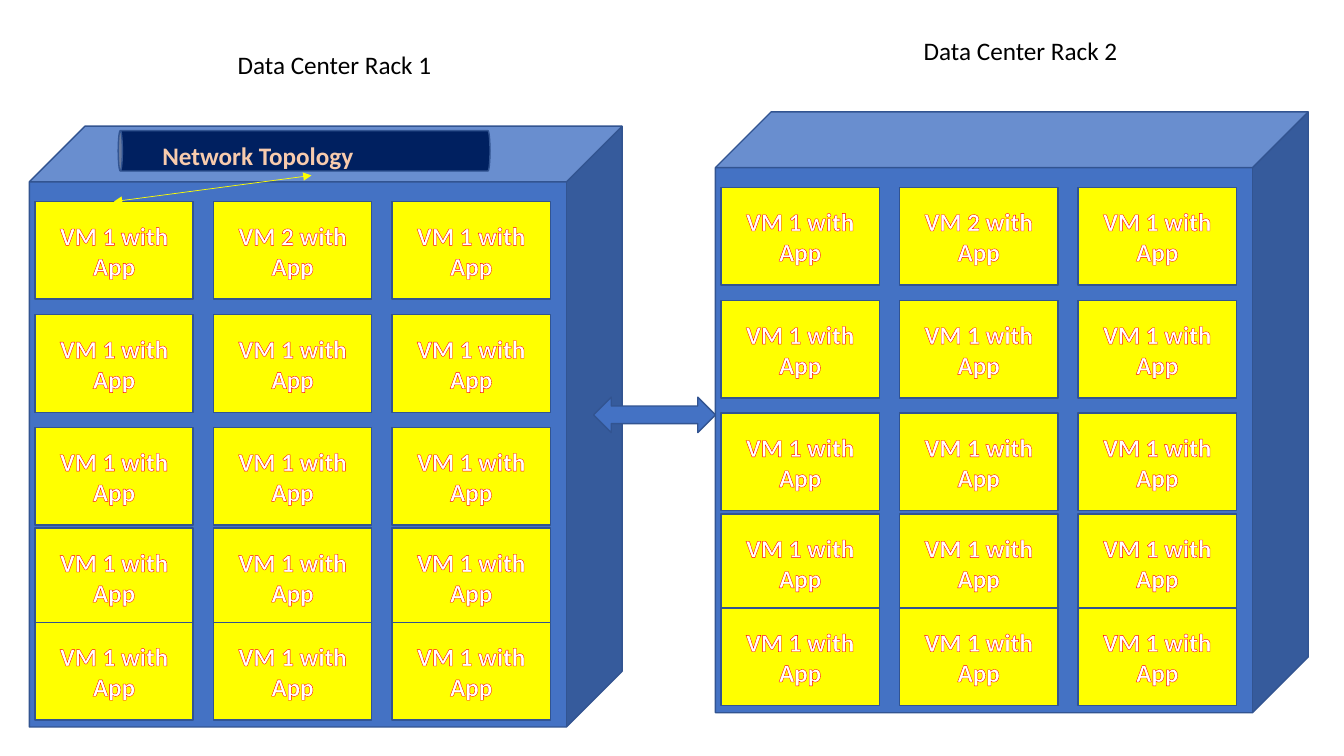
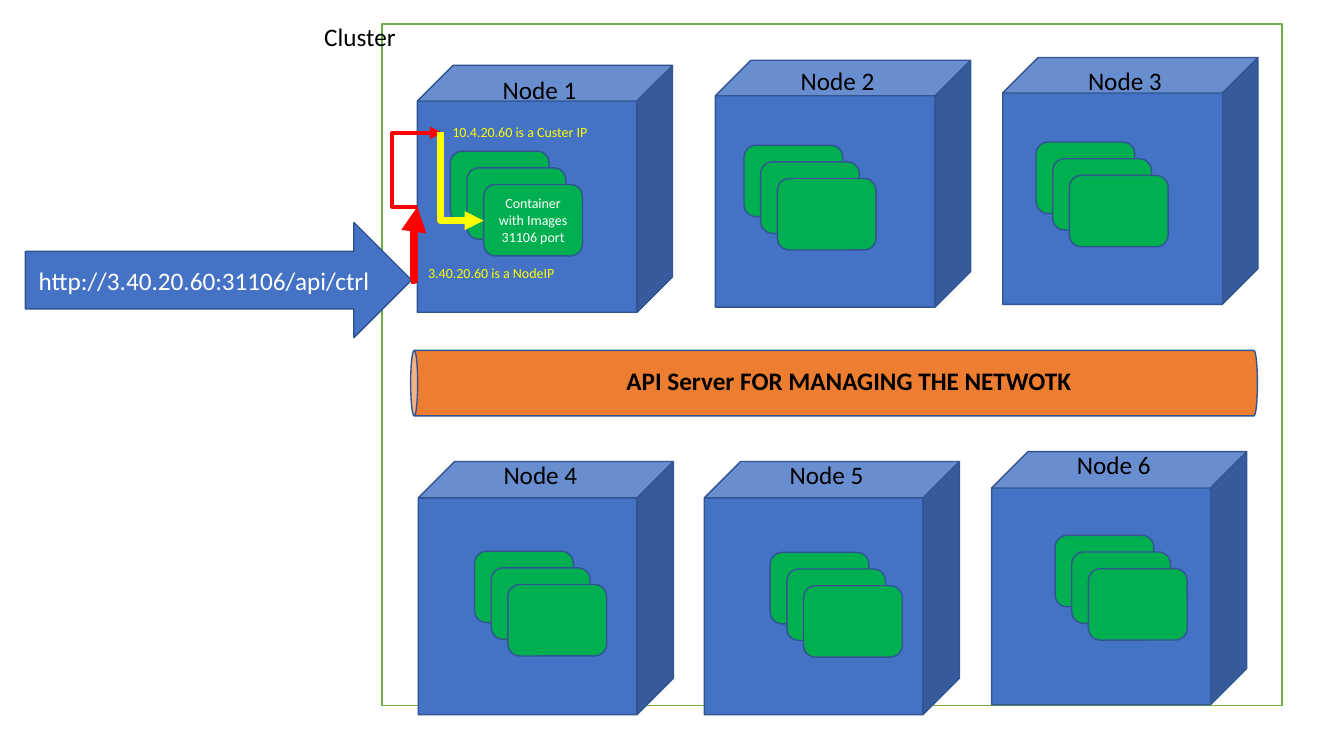
from lxml import etree
from pptx import Presentation
from pptx.dml.color import RGBColor
from pptx.enum.shapes import MSO_CONNECTOR, MSO_SHAPE
from pptx.enum.text import MSO_ANCHOR, MSO_AUTO_SIZE, PP_ALIGN
from pptx.oxml.ns import qn
from pptx.util import Cm, Pt

CUBE, CAN = MSO_SHAPE.CUBE, MSO_SHAPE.CAN
RECT, ROUND_RECT = MSO_SHAPE.RECTANGLE, MSO_SHAPE.ROUNDED_RECTANGLE
TWO_WAY_ARROW, RIGHT_ARROW = MSO_SHAPE.LEFT_RIGHT_ARROW, MSO_SHAPE.RIGHT_ARROW
STRAIGHT, ELBOW = MSO_CONNECTOR.STRAIGHT, MSO_CONNECTOR.ELBOW
LEFT, CENTER = PP_ALIGN.LEFT, PP_ALIGN.CENTER
MIDDLE = MSO_ANCHOR.MIDDLE
FIT_TEXT = MSO_AUTO_SIZE.SHAPE_TO_FIT_TEXT

BLUE, EDGE, NAVY = "4472C4", "325491", "002060"
YELLOW, RED, ORANGE, PEACH = "FFFF00", "FF0000", "ED7D31", "F8CBAD"
GREEN, FRAME_GREEN = "00B050", "70AD47"
WHITE, BLACK = "FFFFFF", "000000"

BODY = {"name": "Calibri", "size": Pt(18), "bold": False}
STRONG = {**BODY, "bold": True}
SMALL = {**BODY, "size": Pt(10)}

VM_WIDTH, VM_HEIGHT, VM_PITCH = 3.99, 2.46, 4.5
VM_ROW_OFFSETS = [1.9, 4.75, 7.59, 10.13, 12.5]
STACK_STEP = 0.42
NODES = [
    ("Node 1", 10.52, 1.65, 6.22, 1.75, (11.35, 3.81)),
    ("Node 2", 18.03, 1.52, 6.22, 1.52, (18.75, 3.66)),
    ("Node 3", 25.27, 1.45, 6.22, 1.52, (26.11, 3.58)),
    ("Node 4", 10.54, 11.63, 6.38, 11.46, (11.96, 13.89)),
    ("Node 5", 17.75, 11.63, 6.38, 11.46, (19.41, 13.92)),
    ("Node 6", 24.99, 11.38, 6.38, 11.2, (26.59, 13.49)),
]


def paint(fill, color):
    """Make a fill solid in a hex colour."""
    fill.solid()
    fill.fore_color.rgb = RGBColor.from_string(color)


def outline_letters(run, color, width):
    """Draw a line around the letters of a run."""
    line = etree.Element(qn("a:ln"), w=str(Pt(width)))
    solid = etree.SubElement(line, qn("a:solidFill"))
    etree.SubElement(solid, qn("a:srgbClr"), val=color)
    run.font._element.insert(0, line)


def write(frame, text, style, color, align=CENTER, outline=None):
    """Fill a text frame, one paragraph per line of text."""
    frame.word_wrap = True
    for index, words in enumerate(text.split("\n")):
        paragraph = frame.add_paragraph() if index else frame.paragraphs[0]
        paragraph.alignment = align
        run = paragraph.add_run()
        run.text = words
        for name, value in style.items():
            setattr(run.font, name, value)
        paint(run.font.fill, color)
        if outline:
            outline_letters(run, *outline)


def add_block(slide, kind, box, fill, edge=EDGE, adjust=None):
    """Add a filled and edged preset shape."""
    block = slide.shapes.add_shape(kind, *map(Cm, box))
    block.shadow.inherit = False
    paint(block.fill, fill)
    paint(block.line.fill, edge)
    block.line.width = Pt(1)
    block.text_frame.vertical_anchor = MIDDLE
    if adjust is not None:
        block.adjustments[0] = adjust
    return block


def add_label(slide, box, text, style=BODY, color=BLACK, align=CENTER, outline=None):
    """Add a text box that grows with its text."""
    label = slide.shapes.add_textbox(*map(Cm, box))
    write(label.text_frame, text, style, color, align, outline)
    label.text_frame.auto_size = FIT_TEXT


def add_pipe(slide, left, top, length, thickness, fill, adjust):
    """Add a can lying on its side in the given visible box."""
    shift = (length - thickness) / 2
    box = (left + shift, top - shift, thickness, length)
    add_block(slide, CAN, box, fill, adjust=adjust).rotation = 270


def add_arrow(slide, kind, start, end, color, width, ends=("tailEnd",), bend=None):
    """Add a connector with arrowheads and an optional bend position."""
    arrow = slide.shapes.add_connector(kind, *map(Cm, start + end))
    paint(arrow.line.fill, color)
    arrow.line.width = Pt(width)
    properties = arrow._element.spPr
    for tip in ends:
        etree.SubElement(properties.find(qn("a:ln")), qn(f"a:{tip}"), type="triangle")
    etree.SubElement(properties, qn("a:effectLst"))
    if bend is not None:
        guides = properties.find(qn("a:prstGeom")).find(qn("a:avLst"))
        etree.SubElement(guides, qn("a:gd"), name="adj1", fmla=f"val {round(bend * 100000)}")


def add_rack(slide, title, left, top):
    """Add a rack with its title and its grid of virtual machines."""
    add_block(slide, CUBE, (left, top, 14.94, 15.14), BLUE, adjust=0.094)
    add_label(slide, (left + 0.97, top - 2.06, 13.44, 1.02), title)
    for row, offset in enumerate(VM_ROW_OFFSETS):
        for column in range(3):
            number = 2 if (row, column) == (0, 1) else 1
            box = (left + 0.14 + column * VM_PITCH, top + offset, VM_WIDTH, VM_HEIGHT)
            machine = add_block(slide, RECT, box, YELLOW)
            write(machine.text_frame, f"VM {number} with App", STRONG, WHITE, outline=(RED, 0.75))


def add_node(slide, title, left, top, height, title_top):
    """Add a cluster node with its title."""
    add_block(slide, CUBE, (left, top, 6.43, height), BLUE, adjust=0.144)
    add_label(slide, (left + 0.82, title_top, 4.52, 1.02), title)


def add_containers(slide, left, top):
    """Add three overlapping containers and return the front one."""
    for step in range(3):
        shift = step * STACK_STEP
        front = add_block(slide, ROUND_RECT, (left + shift, top + shift, 2.49, 1.8), GREEN)
    return front


def build_racks(slide):
    """Build the slide with the two data center racks."""
    add_rack(slide, "Data Center Rack 1", 0.74, 3.18)
    add_rack(slide, "Data Center Rack 2", 18.03, 2.82)
    add_pipe(slide, 2.98, 3.29, 9.37, 1.02, NAVY, 0.103)
    add_label(slide, (3.84, 3.4, 8.03, 1.02), "Network Topology", STRONG, PEACH, LEFT, (ORANGE, 1.75))
    add_arrow(slide, STRAIGHT, (2.87, 5.08), (7.85, 4.42), YELLOW, 0.5, ("headEnd", "tailEnd"))
    add_block(slide, TWO_WAY_ARROW, (14.96, 10.01, 3.07, 0.89), BLUE)


def build_cluster(slide):
    """Build the slide with the cluster of nodes and its request path."""
    add_block(slide, RECT, (9.63, 0.61, 22.68, 17.17), WHITE, FRAME_GREEN)
    add_label(slide, (7.92, 0.41, 4.65, 1.02), "Cluster", align=LEFT)
    for *node, _ in NODES:
        add_node(slide, *node)
    add_pipe(slide, 10.35, 8.83, 21.34, 1.65, ORANGE, 0.107)
    add_label(slide, (11.68, 9.09, 19.43, 1.07), "API Server FOR MANAGING THE NETWOTK", STRONG)
    fronts = [add_containers(slide, *stack) for *_, stack in NODES]
    write(fronts[0].text_frame, "Container with Images\n31106 port", SMALL, WHITE)
    add_label(slide, (11.15, 3, 4.37, 0.69), "10.4.20.60 is a Custer IP", SMALL, YELLOW, LEFT)
    add_label(slide, (10.54, 6.55, 4.37, 0.69), "3.40.20.60 is a NodeIP", SMALL, YELLOW, LEFT)
    request = add_block(slide, RIGHT_ARROW, (0.64, 5.61, 9.73, 2.9), BLUE)
    write(request.text_frame, "http://3.40.20.60:31106/api/ctrl", BODY, WHITE)
    add_arrow(slide, ELBOW, (10.36, 7.06), (10.52, 5.21), RED, 6, bend=0.5)
    add_arrow(slide, ELBOW, (10.52, 5.21), (11.15, 3.35), RED, 3, bend=-1.01)
    add_arrow(slide, ELBOW, (11.1, 3.33), (12.19, 5.56), YELLOW, 4.5, bend=0)


def main():
    """Build and save the presentation."""
    deck = Presentation()
    deck.slide_width, deck.slide_height = Cm(33.87), Cm(19.05)
    blank = deck.slide_layouts[6]
    for build in (build_racks, build_cluster):
        build(deck.slides.add_slide(blank))
    deck.save("out.pptx")


if __name__ == "__main__":
    main()
